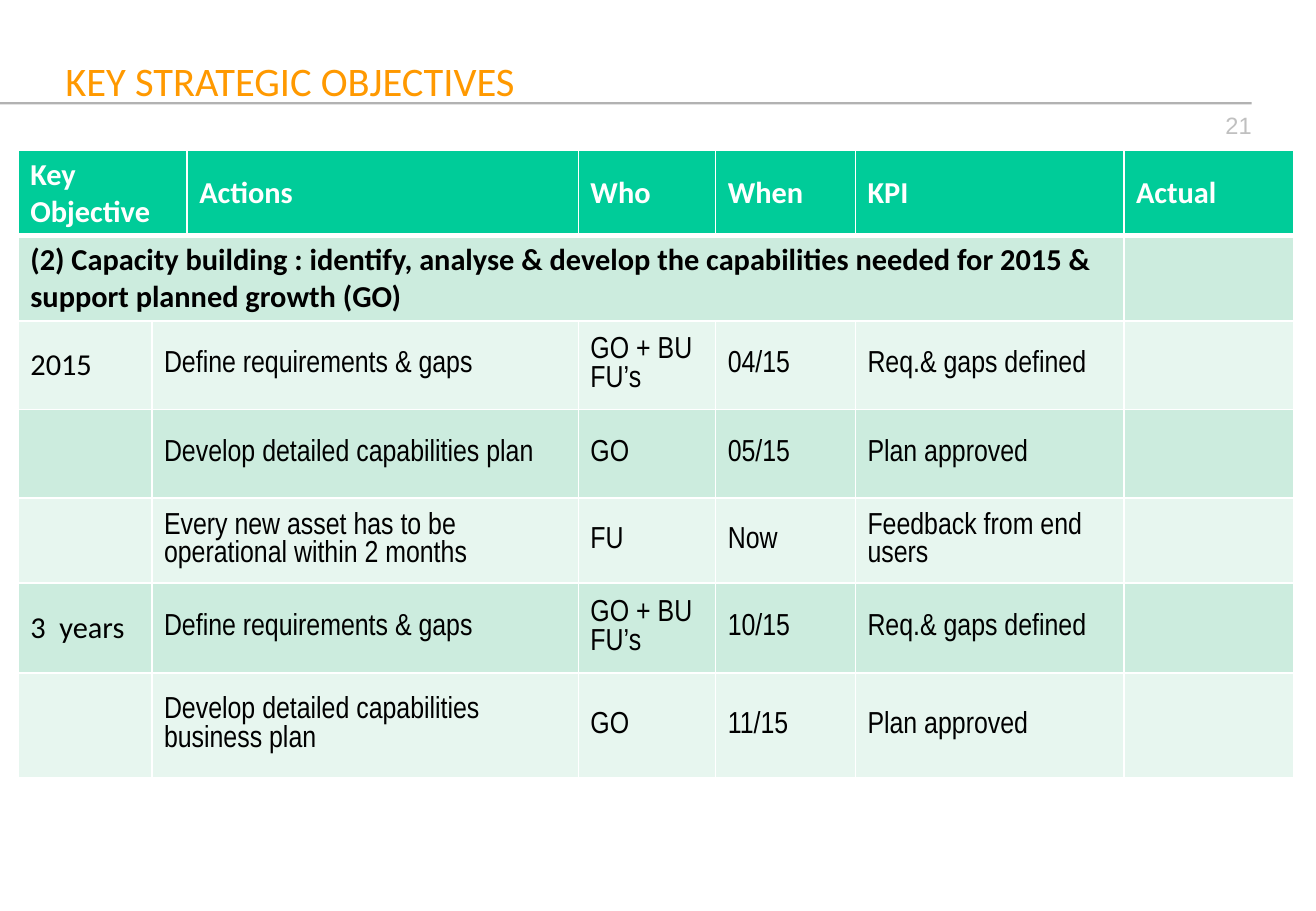
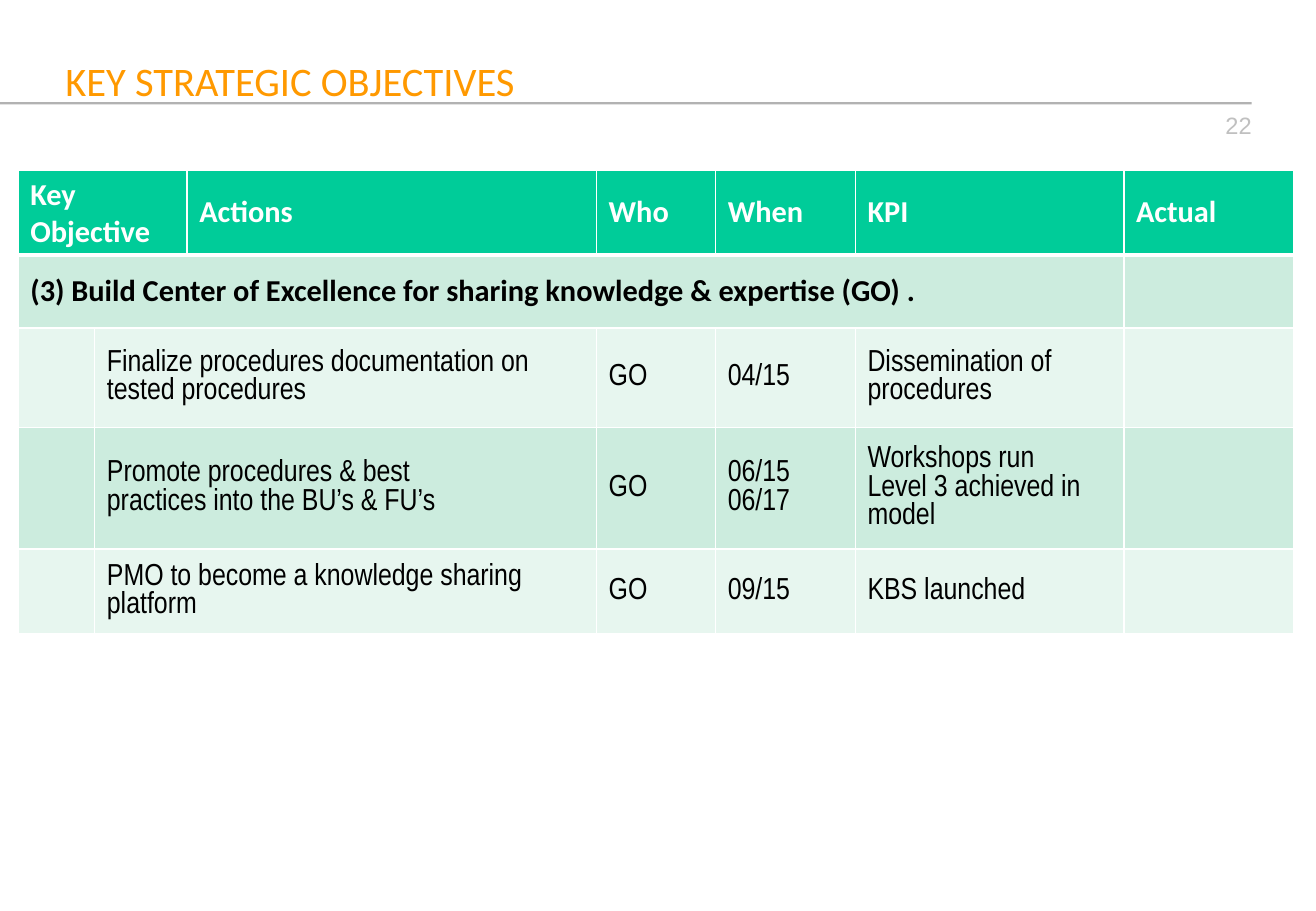
from dataclasses import dataclass

from lxml import etree
from pptx import Presentation
from pptx.dml.color import RGBColor
from pptx.enum.shapes import MSO_SHAPE
from pptx.enum.text import MSO_ANCHOR, PP_ALIGN
from pptx.oxml.ns import qn
from pptx.util import Inches, Pt

RECT = MSO_SHAPE.RECTANGLE
MIDDLE = MSO_ANCHOR.MIDDLE
LEFT, RIGHT = PP_ALIGN.LEFT, PP_ALIGN.RIGHT


@dataclass(frozen=True)
class Theme:
    title: str = "FF9900"
    rule: str = "B2B2B2"
    number: str = "C0C0C0"
    head: str = "00CC99"
    bands: tuple = ("CCECDE", "E7F6EF")
    white: str = "FFFFFF"
    black: str = "000000"
    main: str = "Calibri"
    narrow: str = "Arial Narrow"
    plain: str = "Arial"
    big: int = 24
    body: int = 18
    small: int = 14
    thin: int = 1
    thick: int = 3


THEME = Theme()
TITLE = "KEY STRATEGIC OBJECTIVES"
HEADS = ["Key Objective", None, "Actions", "Who", "When", "KPI", "Actual"]

SLIDES = [
    dict(
        number="21", top=1.24,
        cols=[1.1, 0.29, 3.22, 1.13, 1.15, 2.21, 1.4],
        rows=[0.7, 0.7, 0.73, 0.73, 0.7, 0.74, 0.86],
        goal="(2) Capacity building : identify, analyse & develop the "
             "capabilities needed for 2015 & support planned growth (GO)",
        tasks=[
            ("2015", "Define requirements & gaps", "GO + BU FU’s", "04/15",
             "Req.& gaps defined"),
            ("", "Develop detailed capabilities plan", "GO", "05/15",
             "Plan approved"),
            ("", "Every new asset has to be operational within 2 months",
             "FU", "Now", "Feedback from end users"),
            ("3  years", "Define requirements & gaps", "GO + BU FU’s", "10/15",
             "Req.& gaps defined"),
            ("", "Develop detailed capabilities business plan", "GO", "11/15",
             "Plan approved"),
        ],
    ),
    dict(
        number="22", top=1.4,
        cols=[0.63, 0.76, 3.37, 0.98, 1.15, 2.21, 1.4],
        rows=[0.7, 0.6, 0.82, 1, 0.7],
        goal="(3) Build Center of Excellence for sharing knowledge & "
             "expertise (GO) .",
        tasks=[
            ("", "Finalize procedures documentation on tested procedures",
             "GO", "04/15", "Dissemination of procedures"),
            ("", "Promote procedures & best\npractices into the BU’s & FU’s",
             "GO", "06/15\n06/17", "Workshops run\nLevel 3 achieved in model"),
            ("", "PMO to become a knowledge sharing platform", "GO", "09/15",
             "KBS launched"),
        ],
    ),
]


def write(frame, text, size=THEME.body, font=THEME.main, color=THEME.black,
          bold=False, align=LEFT):
    frame.word_wrap = True
    for i, line in enumerate(text.split("\n")):
        para = frame.add_paragraph() if i else frame.paragraphs[0]
        para.alignment = align
        run = para.add_run()
        run.text = line
        run.font.size = Pt(size)
        run.font.name = font
        run.font.bold = bold
        run.font.color.rgb = RGBColor.from_string(color)


def add_text(slide, box, text, **style):
    shape = slide.shapes.add_textbox(*map(Inches, box))
    write(shape.text_frame, text, **style)


def add_rule(slide):
    rule = slide.shapes.add_shape(RECT, *map(Inches, (0, 0.84, 10.3, 0.02)))
    rule.shadow.inherit = False
    rule.fill.solid()
    rule.fill.fore_color.rgb = RGBColor.from_string(THEME.rule)
    rule.line.fill.background()


def add_frame(slide, number):
    add_rule(slide)
    add_text(slide, (8.07, 0.86, 2.33, 0.52), number, size=THEME.small,
             font=THEME.plain, color=THEME.number, align=RIGHT)
    add_text(slide, (0.44, 0.41, 7.03, 0.51), TITLE, size=THEME.big,
             color=THEME.title)


def set_edges(cell, top, bottom):
    props = cell._tc.get_or_add_tcPr()
    widths = dict(lnL=THEME.thin, lnR=THEME.thin, lnT=top, lnB=bottom)
    for i, (tag, width) in enumerate(widths.items()):
        edge = etree.Element(qn(f"a:{tag}"), w=str(Pt(width)))
        fill = etree.SubElement(edge, qn("a:solidFill"))
        etree.SubElement(fill, qn("a:srgbClr"), val=THEME.white)
        props.insert(i, edge)


def style_cell(cell, row):
    color = THEME.bands[(row - 1) % 2] if row else THEME.head
    cell.fill.solid()
    cell.fill.fore_color.rgb = RGBColor.from_string(color)
    cell.vertical_anchor = MIDDLE
    set_edges(cell, THEME.thick if row == 1 else THEME.thin,
              THEME.thin if row else THEME.thick)


def fill_row(table, row, texts, **style):
    for col, text in enumerate(texts):
        if text:
            write(table.cell(row, col).text_frame, text, **style)


def add_plan(slide, top, cols, rows, goal, tasks):
    box = map(Inches, (0.15, top, sum(cols), sum(rows)))
    table = slide.shapes.add_table(len(rows), len(cols), *box).table
    for col, width in zip(table.columns, cols):
        col.width = Inches(width)
    for i, height in enumerate(rows):
        table.rows[i].height = Inches(height)
        for cell in table.rows[i].cells:
            style_cell(cell, i)

    table.cell(0, 0).merge(table.cell(0, 1))
    fill_row(table, 0, HEADS, color=THEME.white, bold=True)
    table.cell(1, 0).merge(table.cell(1, 5))
    fill_row(table, 1, [goal], bold=True)
    for row, (term, action, *rest) in enumerate(tasks, 2):
        table.cell(row, 1).merge(table.cell(row, 2))
        fill_row(table, row, [term])
        fill_row(table, row, [None, action, None, *rest], font=THEME.narrow)


def main():
    deck = Presentation()
    deck.slide_width, deck.slide_height = Inches(10.83), Inches(7.5)
    for data in SLIDES:
        slide = deck.slides.add_slide(deck.slide_layouts[6])
        plan = dict(data)
        add_frame(slide, plan.pop("number"))
        add_plan(slide, **plan)
    deck.save("out.pptx")


if __name__ == "__main__":
    main()
